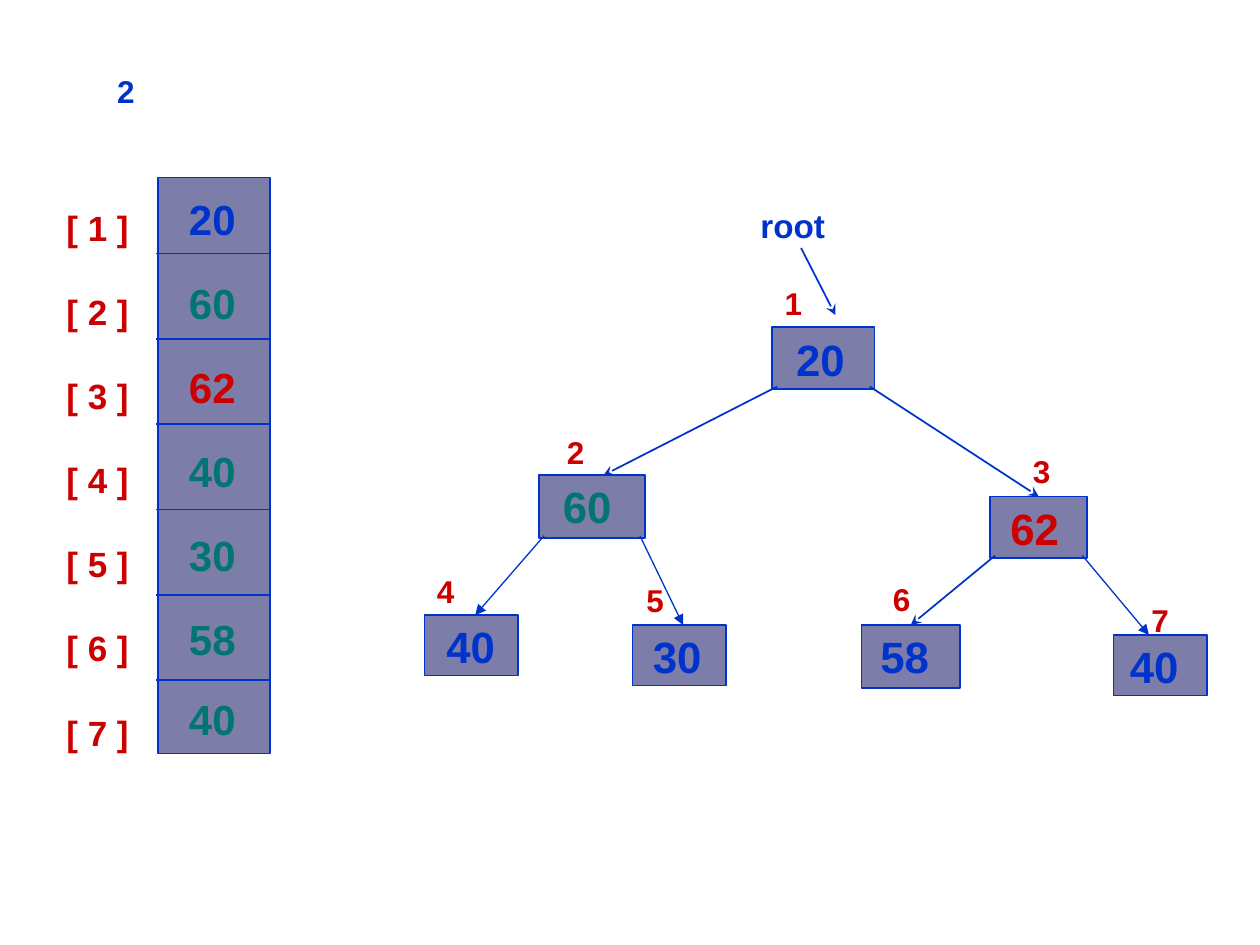
from dataclasses import dataclass

import pptx
import pptx.dml.color
import pptx.enum.shapes
import pptx.enum.text
import pptx.oxml.ns
import pptx.util
from lxml import etree

Cm, Pt = pptx.util.Cm, pptx.util.Pt
BLUE, GREEN, RED, FILL = "0033CC", "007572", "CC0000", "7D7DA9"
LINE_HEIGHT = 1.2  # multiple of the text size
CORNER_X, CORNER_Y = 0.1, 0.05  # where an edge leaves its parent box


@dataclass
class Node:
    index: int
    value: str
    color: str
    left: float
    top: float
    width: float
    height: float
    inset: float
    label_left: float
    label_top: float


@dataclass
class Edge:
    parent: int
    child: int
    tip_shift: float  # distance of the tip from the middle of the child's top
    head: str
    weight: float


NODES = [
    Node(1, "20", BLUE, 15.57, 6.6, 2.06, 1.24, 0.48, 15.57, 5.59),
    Node(2, "60", GREEN, 10.87, 9.58, 2.13, 1.27, 0.48, 11.18, 8.59),
    Node(3, "62", RED, 19.96, 10.01, 1.96, 1.24, 0.41, 20.57, 8.99),
    Node(4, "40", BLUE, 8.56, 12.4, 1.88, 1.22, 0.44, 8.56, 11.4),
    Node(5, "30", BLUE, 12.75, 12.6, 1.88, 1.22, 0.41, 12.78, 11.58),
    Node(6, "58", BLUE, 17.37, 12.6, 1.98, 1.27, 0.38, 17.75, 11.56),
    Node(7, "40", BLUE, 22.45, 12.8, 1.88, 1.22, 0.33, 22.96, 11.99),
]
EDGES = [
    Edge(1, 2, 0.23, "stealth", 1),
    Edge(1, 3, 0, "stealth", 1),
    Edge(2, 4, 0.08, "triangle", 0.75),
    Edge(2, 5, 0.08, "triangle", 0.75),
    Edge(3, 6, 0, "stealth", 1),
    Edge(3, 7, -0.23, "triangle", 0.75),
]
ARRAY_COLORS = [BLUE, GREEN, RED, GREEN, GREEN, GREEN, GREEN]


def rgb(color: str) -> pptx.dml.color.RGBColor:
    return pptx.dml.color.RGBColor.from_string(color)


def write(frame, lines: list[str], colors: list[str], size: float, gaps: list[float],
          inset_x: float = 0.25, inset_y: float = 0.13) -> None:
    """Fill a frame with one bold paragraph per line; gaps are points before each."""
    frame.text = "\n".join(lines)
    frame.word_wrap = False
    frame.auto_size = pptx.enum.text.MSO_AUTO_SIZE.NONE
    frame.vertical_anchor = pptx.enum.text.MSO_ANCHOR.TOP
    frame.margin_left, frame.margin_right = Cm(inset_x), Cm(0.1)
    frame.margin_top = frame.margin_bottom = Cm(inset_y)
    for paragraph, color, gap in zip(frame.paragraphs, colors, gaps):
        paragraph.alignment = pptx.enum.text.PP_ALIGN.LEFT
        paragraph.line_spacing = Pt(size * LINE_HEIGHT)
        paragraph.space_before = Pt(gap)
        for run in paragraph.runs:
            run.font.name = "Arial"
            run.font.size = Pt(size)
            run.font.bold = True
            run.font.color.rgb = rgb(color)


def add_text(slide, left: float, top: float, width: float, height: float,
             lines: list[str], colors: list[str], size: float, gaps: list[float]) -> None:
    box = slide.shapes.add_textbox(Cm(left), Cm(top), Cm(width), Cm(height))
    write(box.text_frame, lines, colors, size, gaps)


def add_box(slide, left: float, top: float, width: float, height: float):
    box = slide.shapes.add_shape(pptx.enum.shapes.MSO_SHAPE.RECTANGLE,
                                 Cm(left), Cm(top), Cm(width), Cm(height))
    box.shadow.inherit = False
    box.fill.solid()
    box.fill.fore_color.rgb = rgb(FILL)
    box.line.color.rgb = rgb(BLUE)
    box.line.width = Pt(1)
    return box


def add_line(slide, x1: float, y1: float, x2: float, y2: float,
             weight: float = 1, head: str = ""):
    line = slide.shapes.add_connector(pptx.enum.shapes.MSO_CONNECTOR.STRAIGHT,
                                      Cm(x1), Cm(y1), Cm(x2), Cm(y2))
    line.line.color.rgb = rgb(BLUE)
    line.line.width = Pt(weight)
    if head:
        etree.SubElement(line.line._get_or_add_ln(),
                         pptx.oxml.ns.qn("a:tailEnd"), type=head)
    etree.SubElement(line._element.spPr, pptx.oxml.ns.qn("a:effectLst"))
    return line


def draw_array(slide) -> None:
    add_box(slide, 3.18, 3.58, 2.26, 11.61)
    for row in range(len(NODES) - 1):
        y = 5.11 + 1.72 * row
        add_line(slide, 3.15, y, 5.46, y)
    add_text(slide, 3.56, 3.78, 1.45, 11.35, [node.value for node in NODES],
             ARRAY_COLORS, 24, [0] + [19.2] * 5 + [16.8])
    add_text(slide, 1.09, 4.04, 1.78, 11.25, [f"[ {node.index} ]" for node in NODES],
             [RED] * len(NODES), 20, [0] + [24] * 6)


def draw_tree(slide) -> None:
    boxes = {}
    for node in NODES:
        box = add_box(slide, node.left, node.top, node.width, node.height)
        write(box.text_frame, [node.value], [node.color], 25, [0], node.inset, 0.1)
        boxes[node.index] = box
        add_text(slide, node.label_left, node.label_top, 0.86, 1.02,
                 [str(node.index)], [RED], 18, [0])

    # Edges run from a parent's lower corner to the top of its child
    by_index = {node.index: node for node in NODES}
    for edge in EDGES:
        parent, child = by_index[edge.parent], by_index[edge.child]
        is_left_child = edge.child % 2 == 0
        start_x = parent.left + (CORNER_X if is_left_child else parent.width - CORNER_X)
        branch = add_line(slide, start_x, parent.top + parent.height - CORNER_Y,
                          child.left + child.width / 2 + edge.tip_shift, child.top,
                          edge.weight, edge.head)
        if edge.tip_shift == 0:
            branch.end_connect(boxes[edge.child], 0)

    # Pointer to the root
    add_text(slide, 15.08, 4.01, 1.9, 1.02, ["root"], [BLUE], 19, [0])
    add_line(slide, 16.15, 5.0, 16.84, 6.35, head="stealth")


def main() -> None:
    deck = pptx.Presentation()
    deck.slide_width, deck.slide_height = Cm(25.4), Cm(19.05)
    slide = deck.slides.add_slide(deck.slide_layouts[5])

    # Step number
    step = slide.shapes.title
    step.left, step.top, step.width, step.height = Cm(2.11), Cm(1.32), Cm(3.2), Cm(1.02)
    write(step.text_frame, ["2"], [BLUE], 18, [0])

    draw_array(slide)
    draw_tree(slide)
    deck.save("out.pptx")


if __name__ == "__main__":
    main()
